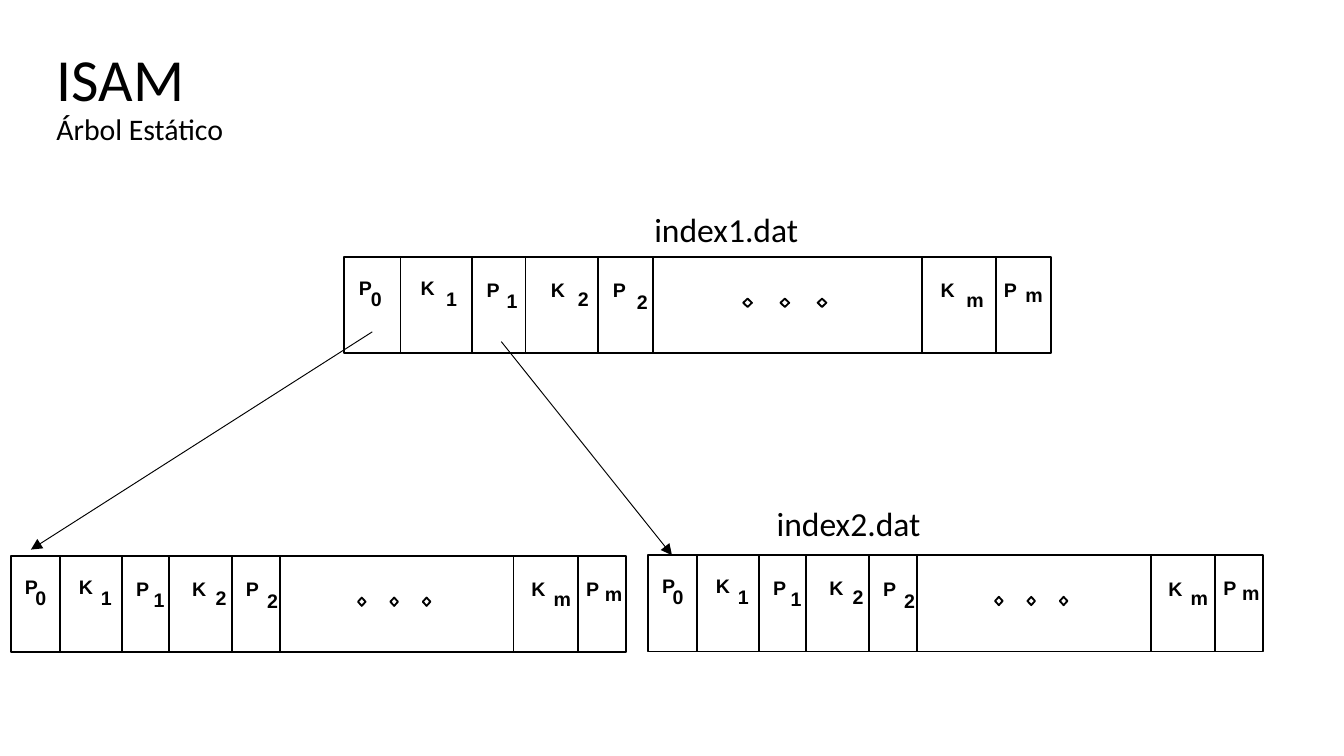
from pptx import Presentation
from pptx.dml.color import RGBColor as Color
from pptx.enum.shapes import MSO_CONNECTOR as Connector, MSO_SHAPE as Shape
from pptx.enum.text import MSO_ANCHOR as Anchor, MSO_AUTO_SIZE as AutoSize
from pptx.oxml import parse_xml
from pptx.oxml.ns import nsdecls
from pptx.util import Inches, Pt

THEME = {
    "ink": Color(0, 0, 0),
    "heading": ("Calibri", 32, False),
    "subheading": ("Calibri", 16, False),
    "file": ("Calibri", 18, False),
    "key": ("Arial", 10.5, True),
    "border": Pt(1),
    "pointer": Pt(0.5),
}

deck = Presentation()
deck.slide_width, deck.slide_height = Inches(10), Inches(5.625)
page = deck.slides.add_slide(deck.slide_layouts[6])
COLUMN, ROW = deck.slide_width / 100, deck.slide_height / 100


def place(left, top, width, height):
    return [round(n) for n in (left * COLUMN, top * ROW, width * COLUMN, height * ROW)]


def style(font, name):
    font.name, size, font.bold = THEME[name]
    font.size = Pt(size)
    font.color.rgb = THEME["ink"]


box = page.shapes.add_textbox(*place(3.4, 6.2, 93.2, 13.7))
frame = box.text_frame
frame.word_wrap = True
frame.vertical_anchor = Anchor.MIDDLE
frame.margin_left = frame.margin_right = Inches(0.08)
frame.margin_top = frame.margin_bottom = Inches(0.04)
para = frame.paragraphs[0]
para.line_spacing = 0.9
for text, name in (("ISAM", "heading"), ("Árbol Estático", "subheading")):
    if para.runs:
        para.add_line_break()
    span = para.add_run()
    span.text = text
    style(span.font, name)

for text, left, top in (("index1.dat", 47.7, 26.7), ("index2.dat", 56.8, 65.6)):
    box = page.shapes.add_textbox(*place(left, top, 12.8, 7.1))
    box.text_frame.word_wrap = False
    box.text_frame.auto_size = AutoSize.SHAPE_TO_FIT_TEXT
    para = box.text_frame.paragraphs[0]
    para.text = text
    style(para.font, "file")

NODE_WIDTH, NODE_HEIGHT = 52.6, 12.75
CELLS = ((0, NODE_WIDTH), (4.2, 5.3), (13.5, 5.4), (43, 5.5), (18.9, 4.1))
DOTS = [29.7 + 2.77 * step for step in range(3)]
LABEL_WIDTHS = {"P": 2.5, "K": 2.6, "m": 2.8}
LABELS = (
    ("P", 0.3, 1.8), ("0", 1.2, 3.2),
    ("K", 4.9, 1.8), ("1", 6.8, 3.2),
    ("P", 9.8, 2), ("1", 11.3, 3.5),
    ("K", 14.6, 2), ("2", 16.6, 3.2),
    ("P", 19.2, 2.1), ("2", 21, 3.7),
    ("K", 43.6, 2.1), ("m", 45.5, 3.4),
    ("P", 48.3, 2), ("m", 49.9, 2.7),
)

for node_left, node_top, scale in ((25.6, 34, 1), (0.8, 73.55, 0.87), (48.2, 73.45, 0.87)):
    node = page.shapes.add_group_shape()
    outlines = [(Shape.RECTANGLE, left, 0, width, NODE_HEIGHT) for left, width in CELLS]
    outlines += [(Shape.DIAMOND, left, 5.5, 0.65, 1.1) for left in DOTS]
    for kind, left, top, width, height in outlines:
        area = place(node_left + left * scale, node_top + top, width * scale, height)
        cell = node.shapes.add_shape(kind, *area)
        cell.shadow.inherit = False
        cell.fill.background()
        cell.line.color.rgb = THEME["ink"]
        cell.line.width = THEME["border"]
    for text, left, top in LABELS:
        width = LABEL_WIDTHS.get(text, 2.3)
        area = place(node_left + left * scale, node_top + top, width * scale, 4.4)
        box = node.shapes.add_textbox(*area)
        frame = box.text_frame
        frame.word_wrap = False
        frame.auto_size = AutoSize.SHAPE_TO_FIT_TEXT
        frame.margin_left = frame.margin_right = Inches(0.08)
        frame.margin_top = frame.margin_bottom = Inches(0.04)
        para = frame.paragraphs[0]
        para.text = text
        style(para.font, "key")

for start_x, start_y, end_x, end_y in ((27.7, 43.9, 2.3, 72.7), (37.3, 45.2, 50, 73.45)):
    ends = place(start_x, start_y, end_x, end_y)
    pointer = page.shapes.add_connector(Connector.STRAIGHT, *ends)
    pointer.line.color.rgb = THEME["ink"]
    pointer.line.width = THEME["pointer"]
    pointer.line._get_or_add_ln().append(parse_xml(f'<a:tailEnd {nsdecls("a")} type="triangle"/>'))
    pointer._element.spPr.append(parse_xml(f'<a:effectLst {nsdecls("a")}/>'))

deck.save("out.pptx")
